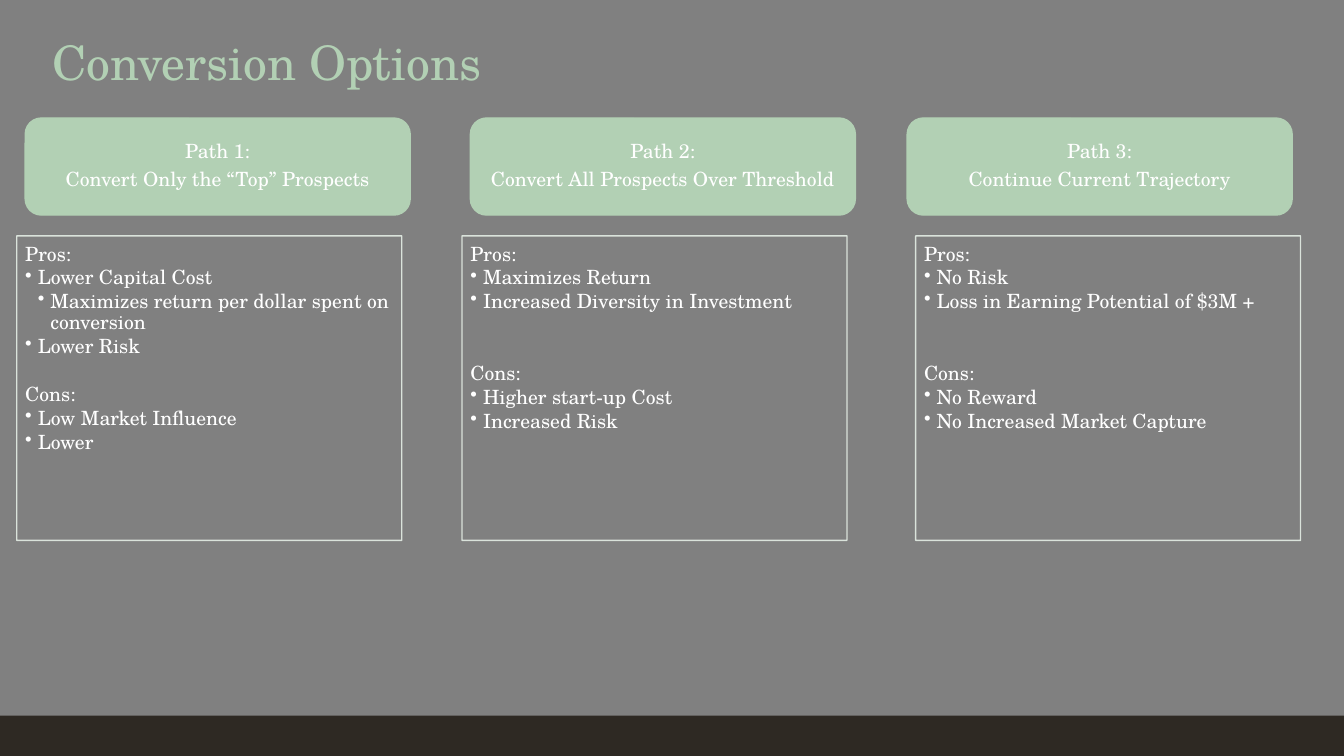
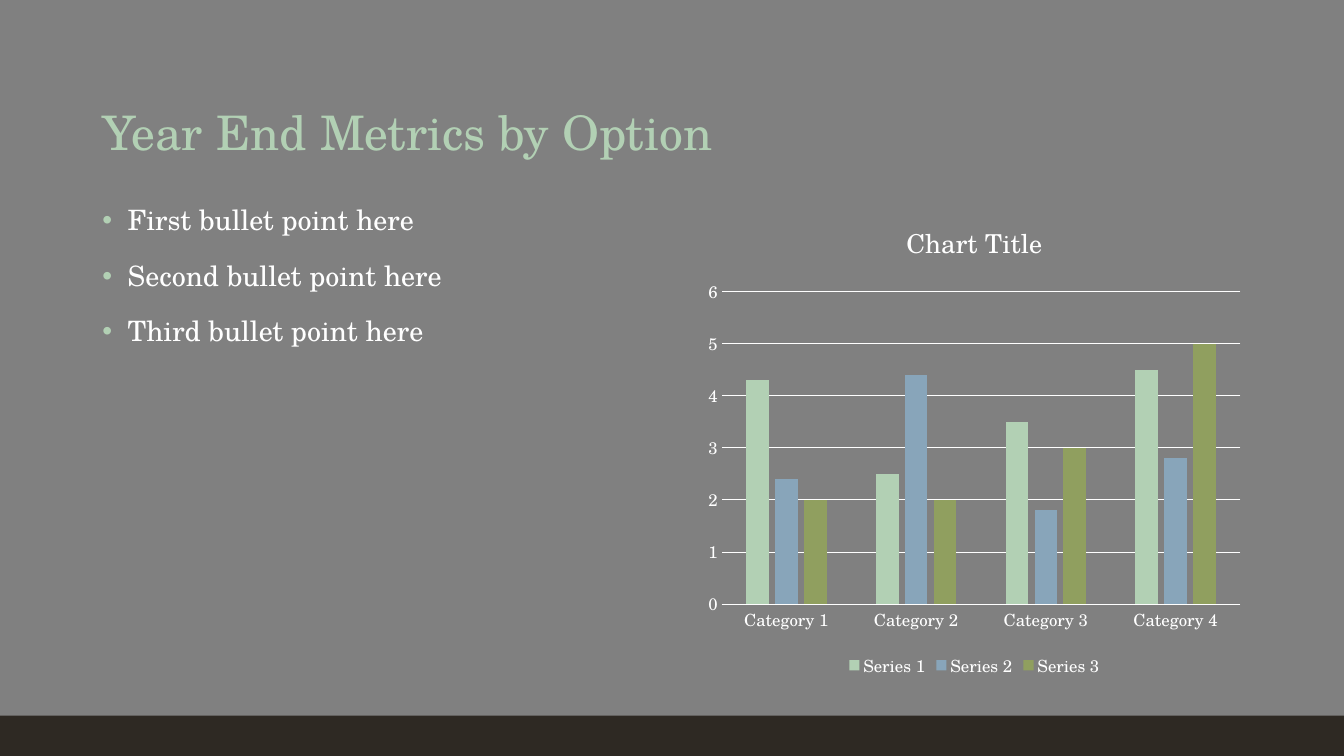
from lxml import etree
from pptx import Presentation
from pptx.chart.data import CategoryChartData
from pptx.dml.color import RGBColor
from pptx.enum.chart import XL_CHART_TYPE, XL_LEGEND_POSITION, XL_TICK_MARK
from pptx.enum.shapes import MSO_SHAPE
from pptx.enum.text import MSO_ANCHOR, PP_ALIGN
from pptx.oxml.ns import qn
from pptx.util import Pt

RECTANGLE = MSO_SHAPE.RECTANGLE
ROUNDED = MSO_SHAPE.ROUNDED_RECTANGLE
COLUMNS = XL_CHART_TYPE.COLUMN_CLUSTERED
LEGEND_BOTTOM = XL_LEGEND_POSITION.BOTTOM
NO_TICKS = XL_TICK_MARK.NONE
TOP, MIDDLE, BOTTOM = MSO_ANCHOR.TOP, MSO_ANCHOR.MIDDLE, MSO_ANCHOR.BOTTOM
LEFT, CENTER = PP_ALIGN.LEFT, PP_ALIGN.CENTER

color = RGBColor.from_string
FONT = "TeX Gyre Schola"
GRAY, DARK, WHITE = "808080", "2E2923", "FFFFFF"
GREEN, PALE, BLUE, OLIVE = "B2D0B4", "E4EEE5", "88A5BA", "909F5F"
SLIDE_WIDTH, SLIDE_HEIGHT, BAND_HEIGHT = 960, 540, 28.8


def set_font(font, size, hex_color=WHITE):
    font.name = FONT
    font.size = Pt(size)
    font.bold = False
    font.color.rgb = color(hex_color)


def format_paragraph(paragraph, size, hex_color=WHITE, align=LEFT, before=0, after=0,
                     margin=0, hanging=0, bullet_color=None):
    paragraph.alignment = align
    paragraph.line_spacing = 0.9
    paragraph.space_before = Pt(before)
    paragraph.space_after = Pt(after)
    for run in paragraph.runs:
        set_font(run.font, size, hex_color)
    if bullet_color:
        properties = paragraph._p.get_or_add_pPr()
        properties.set("marL", str(Pt(margin)))
        properties.set("indent", str(-Pt(hanging)))
        bullet_fill = etree.SubElement(properties, qn("a:buClr"))
        etree.SubElement(bullet_fill, qn("a:srgbClr"), val=bullet_color)
        etree.SubElement(properties, qn("a:buChar"), char="•")


presentation = Presentation()
presentation.slide_width = Pt(SLIDE_WIDTH)
presentation.slide_height = Pt(SLIDE_HEIGHT)
background = presentation.slide_master.background.fill
background.solid()
background.fore_color.rgb = color(GRAY)

slides = []
for layout_index, title_text, title_area in [
    (5, "Conversion Options", (30, 15, 636, 53.5)),
    (1, "Year End Metrics by Option", (66, 28.8, 828, 90)),
]:
    slide = presentation.slides.add_slide(presentation.slide_layouts[layout_index])
    band = slide.shapes.add_shape(RECTANGLE, Pt(0), Pt(SLIDE_HEIGHT - BAND_HEIGHT),
                                  Pt(SLIDE_WIDTH), Pt(BAND_HEIGHT))
    band.shadow.inherit = False
    band.fill.solid()
    band.fill.fore_color.rgb = color(DARK)
    band.line.fill.background()
    title = slide.shapes.title
    title.left, title.top, title.width, title.height = map(Pt, title_area)
    title.text_frame.text = title_text
    title.text_frame.vertical_anchor = BOTTOM
    format_paragraph(title.text_frame.paragraphs[0], 34, GREEN)
    slides.append(slide)
options_slide, metrics_slide = slides

CARD_WIDTH = 275
ROW_PITCH = 17.3
options = [
    (18, 12, "Convert Only the “Top” Prospects", 1,
     [("Lower Capital Cost", 1), ("Maximizes return per dollar spent on conversion", 2),
      ("Lower Risk", 1)],
     ["Low Market Influence", "Lower"]),
    (336, 330, "Convert All Prospects Over Threshold", 2,
     [("Maximizes Return", 1), ("Increased Diversity in Investment", 1)],
     ["Higher start-up Cost", "Increased Risk"]),
    (648, 654, "Continue Current Trajectory", 2,
     [("No Risk", 1), ("Loss in Earning Potential of $3M +", 1)],
     ["No Reward", "No Increased Market Capture"]),
]
for number, (header_left, box_left, path_name, gap_rows, pros, cons) in enumerate(options, 1):
    header = options_slide.shapes.add_shape(ROUNDED, Pt(header_left), Pt(84.3),
                                            Pt(CARD_WIDTH), Pt(69.3))
    header.fill.solid()
    header.fill.fore_color.rgb = color(GREEN)
    header.line.color.rgb = color(GREEN)
    header.text_frame.vertical_anchor = MIDDLE
    header.text_frame.text = f"Path {number}:\n{path_name}"
    for paragraph in header.text_frame.paragraphs:
        format_paragraph(paragraph, 14, align=CENTER, after=4.9)

    box = options_slide.shapes.add_shape(RECTANGLE, Pt(box_left), Pt(168.5),
                                         Pt(CARD_WIDTH), Pt(217.5))
    box.fill.background()
    box.line.color.rgb = color(PALE)
    line_color = box._element.xpath(".//a:ln//a:srgbClr")[0]
    etree.SubElement(line_color, qn("a:alpha"), val="90000")
    box.text_frame.vertical_anchor = TOP
    box.text_frame.margin_left = box.text_frame.margin_top = Pt(6)
    rows = [("Pros:", 0), *pros, ("Cons:", 0), *((text, 1) for text in cons)]
    box.text_frame.text = "\n".join(text for text, level in rows)
    for paragraph, (text, level) in zip(box.text_frame.paragraphs, rows):
        format_paragraph(paragraph, 14, after=1.8, margin=9 * level, hanging=9,
                         before=gap_rows * ROW_PITCH if text == "Cons:" else 0,
                         bullet_color=WHITE if level else None)

    for shape in (header, box):
        shape.shadow.inherit = False
        shape.line.width = Pt(1)
        shape.text_frame.word_wrap = True

CONTENT_TOP, CONTENT_WIDTH, CONTENT_HEIGHT = Pt(144), Pt(396), Pt(342.7)
body = metrics_slide.placeholders[1]
body.left, body.top = Pt(66), CONTENT_TOP
body.width, body.height = CONTENT_WIDTH, CONTENT_HEIGHT
body.text_frame.text = "\n".join(f"{order} bullet point here"
                                 for order in ("First", "Second", "Third"))
for paragraph in body.text_frame.paragraphs:
    format_paragraph(paragraph, 20, before=18, margin=18, hanging=18, bullet_color=GREEN)

chart_data = CategoryChartData()
chart_data.categories = [f"Category {number}" for number in range(1, 5)]
chart_data.add_series("Series 1", (4.3, 2.5, 3.5, 4.5))
chart_data.add_series("Series 2", (2.4, 4.4, 1.8, 2.8))
chart_data.add_series("Series 3", (2, 2, 3, 5))
chart = metrics_slide.shapes.add_chart(COLUMNS, Pt(498), CONTENT_TOP, CONTENT_WIDTH,
                                       CONTENT_HEIGHT, chart_data).chart
set_font(chart.font, 10)
chart.has_title = True
chart.chart_title.text_frame.text = "Chart Title"
set_font(chart.chart_title.text_frame.paragraphs[0].runs[0].font, 18.6)
chart.chart_title.include_in_layout = False
chart.has_legend = True
chart.legend.position = LEGEND_BOTTOM
chart.legend.include_in_layout = False
set_font(chart.legend.font, 12)

plot = chart.plots[0]
plot.vary_by_categories = False
plot.gap_width = 219
plot.overlap = -27
for series, series_color in zip(plot.series, (GREEN, BLUE, OLIVE)):
    series.format.fill.solid()
    series.format.fill.fore_color.rgb = color(series_color)

value_axis, category_axis = chart.value_axis, chart.category_axis
for axis in (value_axis, category_axis):
    axis.major_tick_mark = axis.minor_tick_mark = NO_TICKS
    set_font(axis.tick_labels.font, 12)
value_axis.minimum_scale, value_axis.maximum_scale, value_axis.major_unit = 0, 6, 1
value_axis.format.line.fill.background()
for line in (category_axis.format.line, value_axis.major_gridlines.format.line):
    line.color.rgb = color(WHITE)
    line.width = Pt(0.75)

presentation.save("out.pptx")
